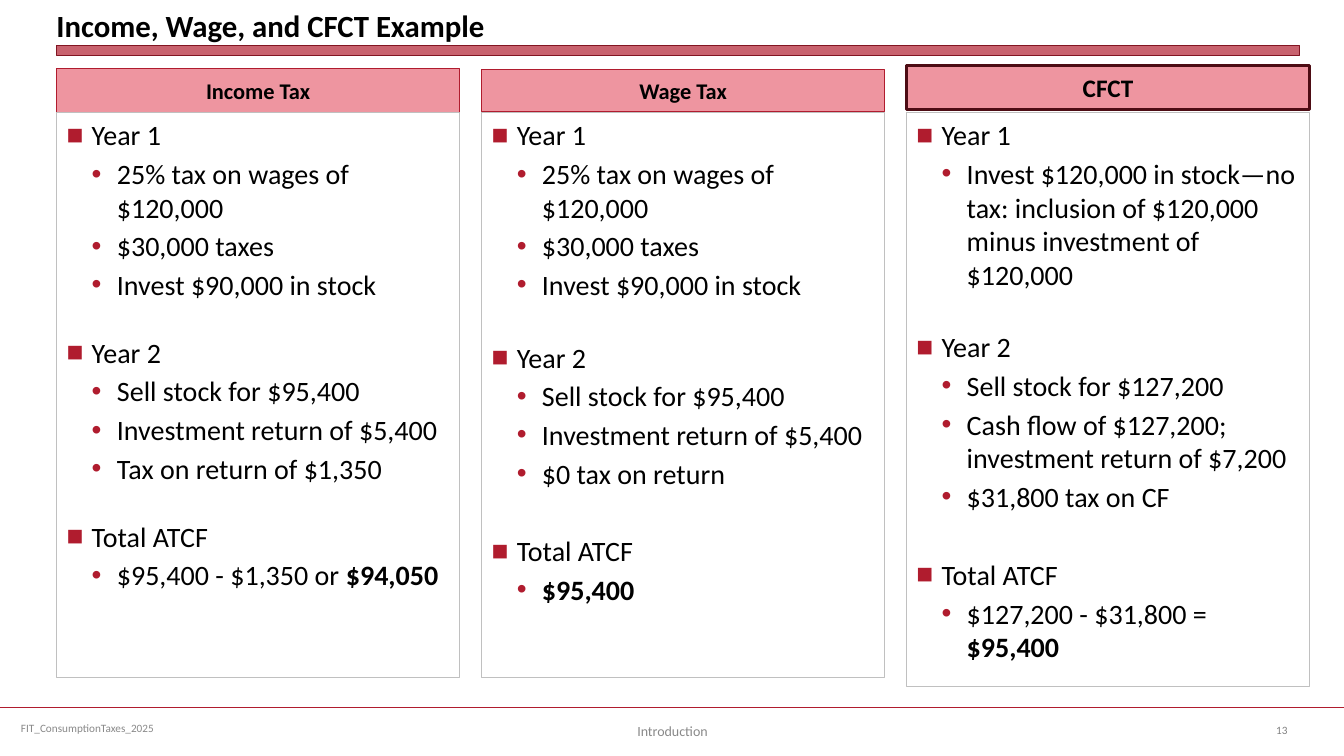
from dataclasses import dataclass

from lxml.etree import SubElement
from pptx import Presentation
from pptx.dml.color import RGBColor
from pptx.enum.shapes import MSO_CONNECTOR, MSO_SHAPE
from pptx.enum.text import MSO_ANCHOR as Anchor, MSO_AUTO_SIZE, PP_ALIGN as Align
from pptx.oxml.ns import qn
from pptx.util import Inches, Pt

BLACK = RGBColor(0x00, 0x00, 0x00)
WHITE = RGBColor(0xFF, 0xFF, 0xFF)
CRIMSON = RGBColor(0xB0, 0x1C, 0x2E)
DARK_RED = RGBColor(0x82, 0x15, 0x22)
MAROON = RGBColor(0x4D, 0x0C, 0x14)
PINK = RGBColor(0xEE, 0x95, 0xA0)
SILVER = RGBColor(0xC0, 0xC0, 0xC0)
GRAY = RGBColor(0x89, 0x89, 0x89)
PAGE_GRAY = RGBColor(0x80, 0x80, 0x80)

FONT = "Calibri"
SLIDE_W, SLIDE_H = 13.33, 7.5
MARGIN, CONTENT_W = 0.56, 12.33
COL_W, COL_PITCH = 4.0, 4.215
BODY_TOP, FOOTER_TOP = 1.12, 7.02
INDENT = 0.25
ITEM_GAP = 3.6


@dataclass(frozen=True)
class Item:
    text: str
    bold: str = ""
    level: int = 1
    before: float = ITEM_GAP


@dataclass(frozen=True)
class Column:
    name: str
    head_top: float
    head_h: float
    head_size: int
    head_line: RGBColor
    head_line_w: float
    body_h: float
    items: tuple[Item, ...]


def section(title: str, before: float, *items: Item) -> tuple[Item, ...]:
    return (Item(title, level=0, before=before), *items)


WAGE_YEAR = section("Year 1", 0, Item("25% tax on wages of $120,000"),
                    Item("$30,000 taxes"), Item("Invest $90,000 in stock"))
STOCK_SALE = (Item("Sell stock for $95,400"), Item("Investment return of $5,400"))

COLUMNS = (
    Column("Income Tax", 0.68, 0.44, 16, CRIMSON, 0.75, 5.6, (
        *WAGE_YEAR,
        *section("Year 2", 24.4, *STOCK_SALE, Item("Tax on return of $1,350")),
        *section("Total ATCF", 24.4, Item("$95,400 - $1,350 or ", "$94,050")))),
    Column("Wage Tax", 0.69, 0.42, 16, CRIMSON, 0.75, 5.6, (
        *WAGE_YEAR,
        *section("Year 2", 27.8, *STOCK_SALE, Item("$0 tax on return")),
        *section("Total ATCF", 31.6, Item("", "$95,400")))),
    Column("CFCT", 0.65, 0.44, 18, MAROON, 2, 5.69, (
        *section("Year 1", 0, Item("Invest $120,000 in stock—no tax: inclusion of "
                                   "$120,000 minus investment of $120,000")),
        *section("Year 2", 27.8, Item("Sell stock for $127,200"),
                 Item("Cash flow of $127,200; investment return of $7,200"),
                 Item("$31,800 tax on CF")),
        *section("Total ATCF", 31.6, Item("$127,200 - $31,800 = ", "$95,400")))),
)


def place(sp, left: float, top: float, width: float, height: float) -> None:
    sp.left, sp.top = Inches(left), Inches(top)
    sp.width, sp.height = Inches(width), Inches(height)


def paint(sp, fill: RGBColor, line: RGBColor, line_w: float) -> None:
    sp.fill.solid()
    sp.fill.fore_color.rgb = fill
    sp.line.color.rgb = line
    sp.line.width = Pt(line_w)


def set_frame(sp, anchor: Anchor):
    tf = sp.text_frame
    tf.word_wrap = True
    tf.auto_size = MSO_AUTO_SIZE.NONE
    tf.vertical_anchor = anchor
    return tf


def add_run(p, text: str, size: float, color: RGBColor = BLACK, bold: bool = False) -> None:
    r = p.add_run()
    r.text = text
    r.font.name, r.font.size, r.font.bold = FONT, Pt(size), bold
    r.font.color.rgb = color


def write_line(sp, text: str, size: float, color: RGBColor = BLACK, bold: bool = False,
               align: Align = Align.LEFT, anchor: Anchor = Anchor.MIDDLE) -> None:
    p = set_frame(sp, anchor).paragraphs[0]
    p.alignment = align
    p.space_before = Pt(0)
    add_run(p, text, size, color, bold)


def add_bullet(p, level: int) -> None:
    pPr = p._p.get_or_add_pPr()
    pPr.set("marL", str(Inches(INDENT * (level + 1))))
    pPr.set("indent", str(-Inches(INDENT)))
    color = SubElement(pPr, qn("a:buClr"))
    SubElement(color, qn("a:srgbClr"), val=str(CRIMSON))
    SubElement(pPr, qn("a:buFont"), typeface="Arial")
    SubElement(pPr, qn("a:buChar"), char="■•"[level])


def write_items(sp, items: tuple[Item, ...]) -> None:
    tf = set_frame(sp, Anchor.TOP)
    for i, item in enumerate(items):
        p = tf.add_paragraph() if i else tf.paragraphs[0]
        p.level = item.level
        p.alignment = Align.LEFT
        p.space_before = Pt(item.before)
        add_bullet(p, item.level)
        if item.text:
            add_run(p, item.text, 20)
        if item.bold:
            add_run(p, item.bold, 20, bold=True)


def add_box(s):
    sp = s.shapes.add_shape(MSO_SHAPE.RECTANGLE, 0, 0, 0, 0)
    sp.shadow.inherit = False
    return sp


def draw_column(head, body, index: int, col: Column) -> None:
    left = MARGIN + index * COL_PITCH
    place(head, left, col.head_top, COL_W, col.head_h)
    paint(head, PINK, col.head_line, col.head_line_w)
    write_line(head, col.name, col.head_size, bold=True, align=Align.CENTER)
    place(body, left, BODY_TOP, COL_W, col.body_h)
    paint(body, WHITE, SILVER, 0.75)
    write_items(body, col.items)


def draw_title(s) -> None:
    title = s.shapes.title
    place(title, MARGIN, 0, CONTENT_W, 0.43)
    write_line(title, "Income, Wage, and CFCT Example", 22, bold=True, anchor=Anchor.BOTTOM)
    tf = title.text_frame
    tf.margin_left = tf.margin_top = tf.margin_right = tf.margin_bottom = 0
    bar = add_box(s)
    place(bar, MARGIN, 0.45, CONTENT_W, 0.1)
    paint(bar, CRIMSON, DARK_RED, 0)
    rgb = bar._element.spPr.find(qn("a:solidFill")).find(qn("a:srgbClr"))
    SubElement(rgb, qn("a:alpha"), val="69000")


def draw_footer(s) -> None:
    y = Inches(FOOTER_TOP)
    rule = s.shapes.add_connector(MSO_CONNECTOR.STRAIGHT, 0, y, Inches(SLIDE_W), y)
    rule.line.color.rgb = CRIMSON
    rule.line.width = Pt(1.25)
    SubElement(rule._element.spPr, qn("a:effectLst"))
    for text, left, top, width, size, color, align in (
        ("FIT_ConsumptionTaxes_2025", 0.11, 7.02, 3.44, 8, GRAY, Align.LEFT),
        ("Introduction", 4.56, 7.05, 4.22, 10, GRAY, Align.CENTER),
        ("13", 12.56, 7.04, 0.67, 8, PAGE_GRAY, Align.LEFT),
    ):
        box = s.shapes.add_textbox(0, 0, 0, 0)
        place(box, left, top, width, 0.4)
        write_line(box, text, size, color, align=align)


def main() -> None:
    prs = Presentation()
    prs.slide_width, prs.slide_height = Inches(SLIDE_W), Inches(SLIDE_H)
    s = prs.slides.add_slide(prs.slide_layouts.get_by_name("Comparison"))
    draw_title(s)
    draw_footer(s)
    holders = s.placeholders
    pairs = ((holders[1], holders[2]), (holders[3], holders[4]), (add_box(s), add_box(s)))
    for i, ((head, body), col) in enumerate(zip(pairs, COLUMNS)):
        draw_column(head, body, i, col)
    prs.save("out.pptx")


if __name__ == "__main__":
    main()
